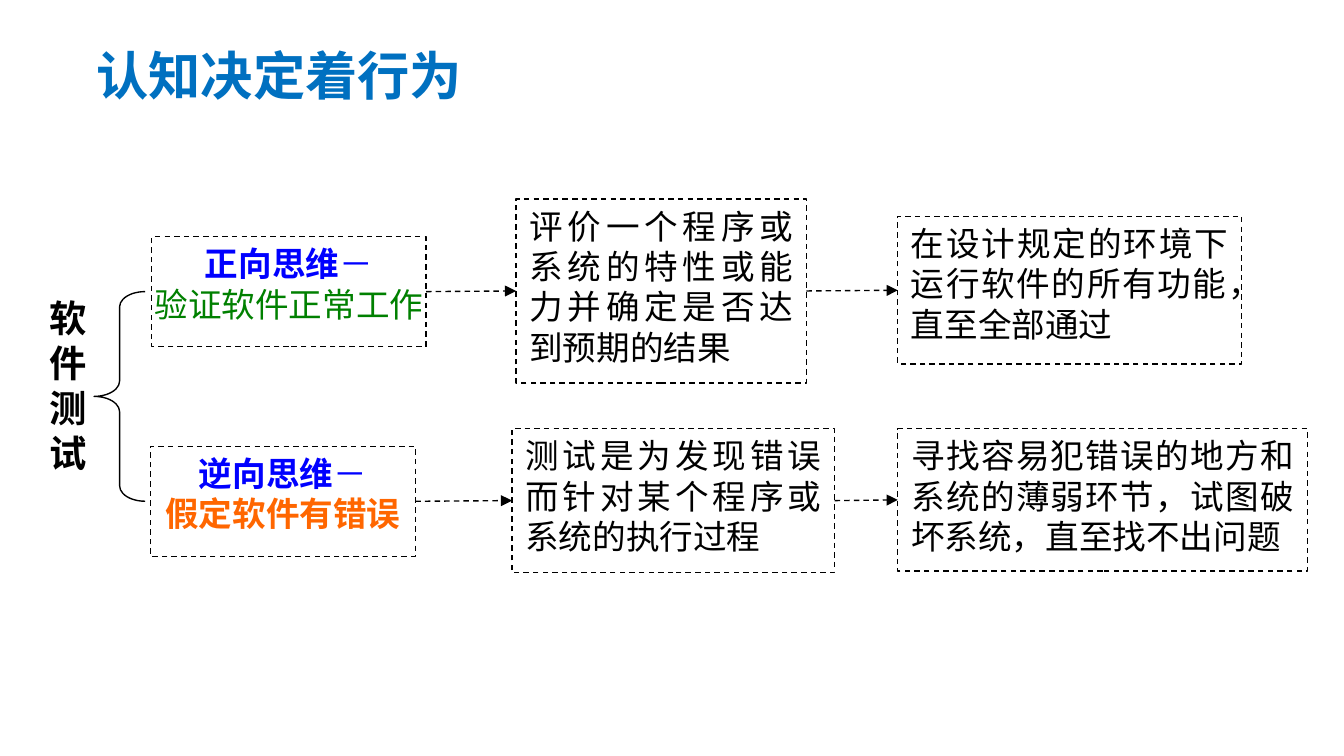
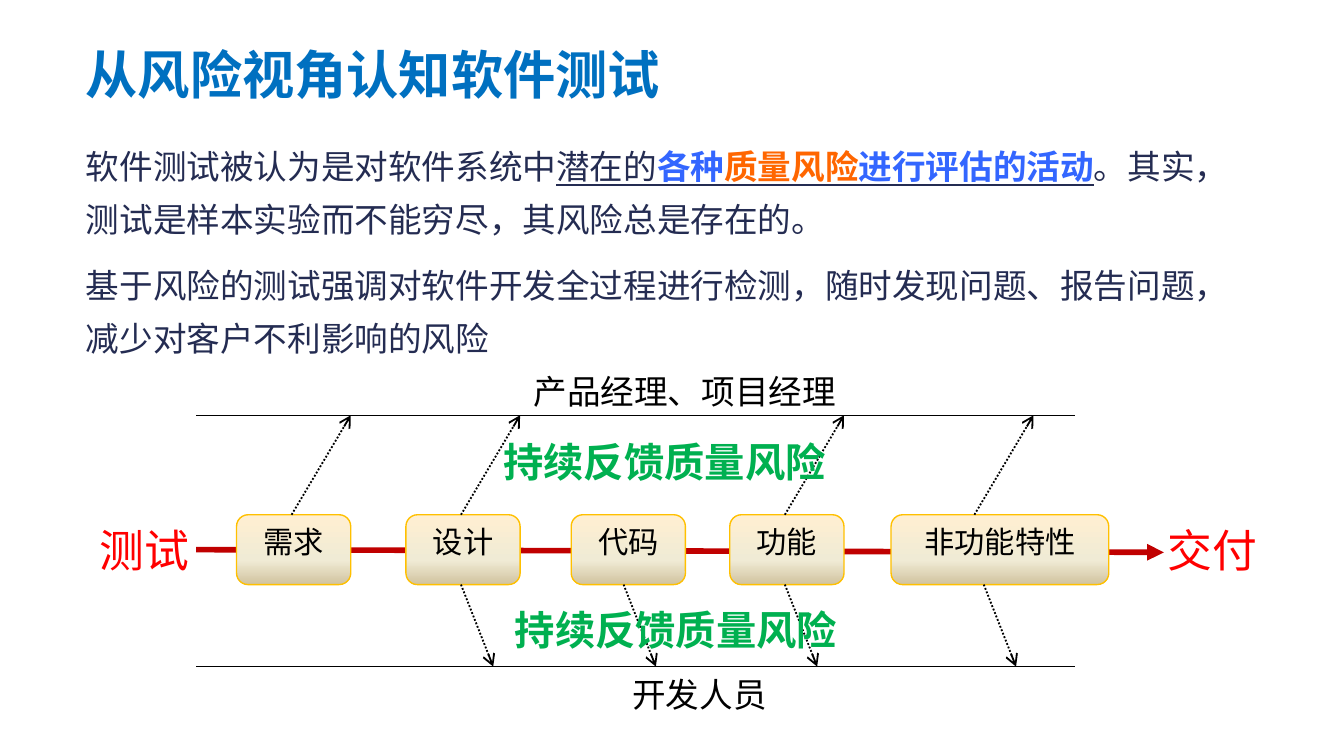
from copy import deepcopy

from lxml import etree
from pptx import Presentation
from pptx.dml.color import RGBColor
from pptx.enum import dml, shapes, text
from pptx.oxml.ns import qn
from pptx.util import Inches, Pt

COLORS = {
    "title": "0070C0", "body": "242C52", "black": "000000", "white": "FFFFFF",
    "blue": "0000FF", "green": "008000", "orange": "FF6600", "sky": "3366FF",
    "feedback": "00B050", "red": "FF0000", "flow": "C00000", "gold": "FFC000",
    "cream": "FFEFD1", "sand": "F0EBD5", "tan": "D1C39F",
}
CJK_FONT = "Noto Sans CJK SC"
ALIGN = text.PP_ALIGN
DASH = dml.MSO_LINE
TITLE_STYLE = dict(size=28, color="title", bold=True, spacing=0.9)


def write(shape, paragraphs, size, color="black", align=ALIGN.LEFT, bold=False,
          font=CJK_FONT, spacing=None, before=0, insets=(0.1, 0.05),
          anchor=text.MSO_ANCHOR.TOP, wrap=True):
    """Fill a shape; each paragraph is a list of (text, color, bold, underline) runs or a string."""
    frame = shape.text_frame
    frame.word_wrap = wrap
    frame.vertical_anchor = anchor
    frame.margin_left = frame.margin_right = Inches(insets[0])
    frame.margin_top = frame.margin_bottom = Inches(insets[1])
    for index, runs in enumerate(paragraphs):
        paragraph = frame.paragraphs[0] if index == 0 else frame.add_paragraph()
        paragraph.alignment = align
        if spacing:
            paragraph.line_spacing = spacing
        if index and before:
            paragraph.space_before = Pt(before)
        paragraph.font.size = Pt(size)
        paragraph.font.name = font
        if isinstance(runs, str):
            paragraph.font.bold = bold
            paragraph.font.color.rgb = RGBColor.from_string(COLORS[color])
            paragraph.add_run().text = runs
        else:
            for words, run_color, run_bold, underline in runs:
                run = paragraph.add_run()
                run.text = words
                run.font.color.rgb = RGBColor.from_string(COLORS[run_color])
                run.font.bold = run_bold
                if underline:
                    run.font.underline = True
                    line_fill = etree.SubElement(run._r.rPr, qn("a:uFill"))
                    solid = etree.SubElement(line_fill, qn("a:solidFill"))
                    etree.SubElement(solid, qn("a:srgbClr")).set("val", COLORS[color])
        defaults = paragraph._p.pPr.find(qn("a:defRPr"))
        etree.SubElement(defaults, qn("a:ea")).set("typeface", CJK_FONT)


def connect(slide, start, end, color="black", width=0.75, dash=None, arrow=None):
    """Draw a straight line, optionally dashed and with an arrowhead at its end."""
    line = slide.shapes.add_connector(
        shapes.MSO_CONNECTOR.STRAIGHT, *(Inches(value) for value in (*start, *end)))
    line.line.color.rgb = RGBColor.from_string(COLORS[color])
    line.line.width = Pt(width)
    if dash:
        line.line.dash_style = dash
    if arrow:
        etree.SubElement(line.line._get_or_add_ln(), qn("a:tailEnd")).set("type", arrow)
    etree.SubElement(line._element.spPr, qn("a:effectLst"))


# Widescreen 16:9
presentation = Presentation()
presentation.slide_width = Inches(10)
presentation.slide_height = presentation.slide_width * 9 // 16

# Slides and their titles
slides = []
for title, box in [
    ("认知决定着行为", (0.62, 0.22, 5.14, 0.73)),
    ("从风险视角认知软件测试", (0.54, 0.2, 7.07, 0.75)),
]:
    slide = presentation.slides.add_slide(presentation.slide_layouts[6])
    shape = slide.shapes.add_textbox(*map(Inches, box))
    write(shape, [title], anchor=text.MSO_ANCHOR.MIDDLE, **TITLE_STYLE)
    slides.append(slide)
thinking_slide, risk_slide = slides

# Slide 1: root label and brace
shape = thinking_slide.shapes.add_textbox(*map(Inches, (0.27, 2.15, 0.59, 1.75)))
write(shape, ["软件测试"], 20, align=ALIGN.JUSTIFY, bold=True)
brace = thinking_slide.shapes.add_shape(
    shapes.MSO_SHAPE.LEFT_BRACE, *map(Inches, (0.7, 2.17, 0.38, 1.56)))
brace.shadow.inherit = False
brace.adjustments[0] = 0.3
brace.fill.background()
brace.line.color.rgb = RGBColor.from_string(COLORS["black"])
brace.line.width = Pt(0.75)

# Slide 1: one row per way of thinking, mindset -> definition -> practice
rows = [
    [((1.13, 1.76, 2.04, 0.82),
      [[("正向思维", "blue", True, False), ("－", "blue", False, False)],
       [("验证软件正常工作", "green", False, False)]]),
     ((3.84, 1.48, 2.16, 1.37), ["评价一个程序或系统的特性或能力并确定是否达到预期的结果"]),
     ((6.68, 1.61, 2.56, 1.1), ["在设计规定的环境下运行软件的所有功能，直至全部通过"])],
    [((1.12, 3.32, 1.97, 0.82),
      [[("逆向思维", "blue", True, False), ("－", "blue", False, False)],
       [("假定软件有错误", "orange", True, False)]]),
     ((3.81, 3.19, 2.4, 1.07), ["测试是为发现错误而针对某个程序或系统的执行过程"]),
     ((6.68, 3.19, 3.05, 1.06), ["寻找容易犯错误的地方和系统的薄弱环节，试图破坏系统，直至找不出问题"])],
]
for row in rows:
    for column, (box, paragraphs) in enumerate(row):
        shape = thinking_slide.shapes.add_shape(
            shapes.MSO_SHAPE.RECTANGLE, *map(Inches, box))
        shape.shadow.inherit = False
        shape.fill.solid()
        shape.fill.fore_color.rgb = RGBColor.from_string(COLORS["white"])
        shape.line.color.rgb = RGBColor.from_string(COLORS["black"])
        shape.line.width = Pt(0.75)
        shape.line.dash_style = DASH.DASH
        if column == 0:
            write(shape, paragraphs, 18, align=ALIGN.CENTER, insets=(0.01, 0.05))
        else:
            write(shape, paragraphs, 18, align=ALIGN.JUSTIFY)
    for (source, _), (target, _) in zip(row, row[1:]):
        connect(thinking_slide,
                (source[0] + source[2], source[1] + source[3] / 2),
                (target[0], target[1] + target[3] / 2), dash=DASH.DASH, arrow="triangle")

# Slide 2: body text
shape = risk_slide.shapes.add_textbox(*map(Inches, (0.54, 0.95, 8.82, 1.75)))
write(shape, [
    [("软件测试被认为是对软件系统中", "body", False, False),
     ("潜在的", "body", False, True),
     ("各种", "sky", True, True),
     ("质量风险", "orange", True, True),
     ("进行评估的活动", "sky", True, True),
     ("。其实，测试是样本实验而不能穷尽，其风险总是存在的。", "body", False, False)],
    "基于风险的测试强调对软件开发全过程进行检测，随时发现问题、报告问题，减少对客户不利影响的风险",
], 18, color="body", spacing=1.3, before=7.5)

# Slide 2: main flow and its stages
STAGE_TOP, STAGE_HEIGHT = 3.83, 0.52
STAGE_BOTTOM = STAGE_TOP + STAGE_HEIGHT
MANAGERS_Y, DEVELOPERS_Y = 3.09, 4.96
connect(risk_slide, (1.46, 4.09), (8.66, 4.11), color="flow", width=3, arrow="triangle")
for name, left, width in [("需求", 1.76, 0.85), ("设计", 3.02, 0.85), ("代码", 4.25, 0.85),
                          ("功能", 5.43, 0.85), ("非功能特性", 6.63, 1.62)]:
    stage = risk_slide.shapes.add_shape(
        shapes.MSO_SHAPE.ROUNDED_RECTANGLE,
        *map(Inches, (left, STAGE_TOP, width, STAGE_HEIGHT)))
    stage.shadow.inherit = False
    stage.fill.gradient()
    stage.fill.gradient_angle = 270
    stop_list = stage.fill._xPr.find(qn("a:gradFill")).find(qn("a:gsLst"))
    stop_list.append(deepcopy(stop_list[-1]))
    for stop, (position, color) in zip(
            stage.fill.gradient_stops, [(0, "cream"), (0.65, "sand"), (1, "tan")]):
        stop.position = position
        stop.color.rgb = RGBColor.from_string(COLORS[color])
    stage.line.color.rgb = RGBColor.from_string(COLORS["gold"])
    stage.line.width = Pt(0.75)
    write(stage, [name], 16.2, align=ALIGN.CENTER, font="Calibri", insets=(0.09, 0.04))

# Slide 2: audience lines and feedback arrows
for y in (MANAGERS_Y, DEVELOPERS_Y):
    connect(risk_slide, (1.46, y), (8, y))
for start_y, end_y, shift, starts in [
    (STAGE_TOP, MANAGERS_Y, 0.44, (2.17, 3.43, 5.84, 7.25)),
    (STAGE_BOTTOM, DEVELOPERS_Y, 0.24, (3.43, 4.64, 5.84, 7.32)),
]:
    for x in starts:
        connect(risk_slide, (x, start_y), (x + shift, end_y),
                width=1, dash=DASH.ROUND_DOT, arrow="arrow")

# Slide 2: audience and feedback captions
audience = dict(size=18)
feedback = dict(size=21.6, color="feedback", bold=True, font="Calibri")
for caption, box, style in [
    ("产品经理、项目经理", (3.7, 2.7, 2.79, 0.35), audience),
    ("开发人员", (4.37, 4.96, 1.67, 0.34), audience),
    ("持续反馈质量风险", (3.59, 3.19, 2.71, 0.52), feedback),
    ("持续反馈质量风险", (3.65, 4.44, 2.76, 0.52), feedback),
]:
    shape = risk_slide.shapes.add_shape(
        shapes.MSO_SHAPE.ROUNDED_RECTANGLE, *map(Inches, box))
    shape.shadow.inherit = False
    shape.fill.background()
    shape.line.fill.background()
    write(shape, [caption], align=ALIGN.CENTER, insets=(0.09, 0.04), **style)

# Slide 2: both ends of the flow
for label, left in [("测试", 0.64), ("交付", 8.59)]:
    shape = risk_slide.shapes.add_textbox(*map(Inches, (left, 3.84, 0.88, 0.5)))
    write(shape, [label], 24, color="red", wrap=False)
    shape.text_frame.auto_size = text.MSO_AUTO_SIZE.SHAPE_TO_FIT_TEXT

presentation.save("out.pptx")
